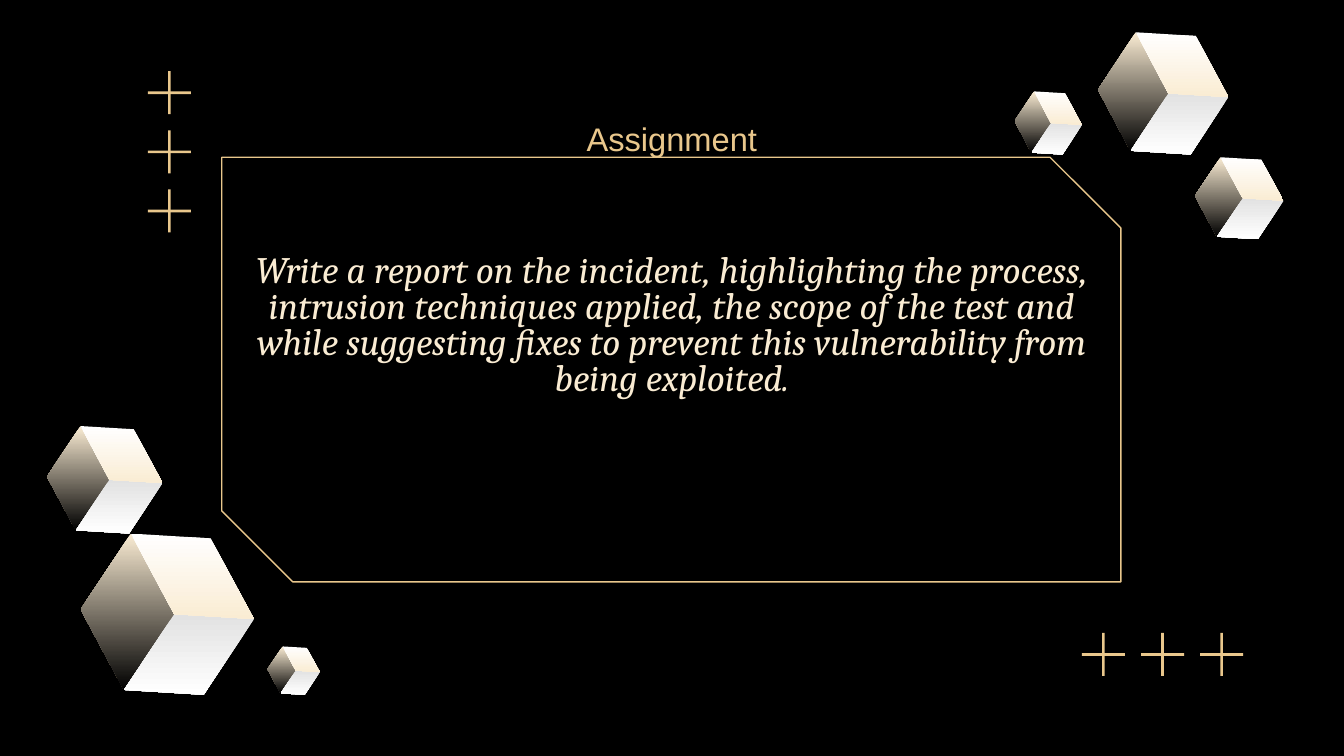
from pptx import Presentation
from pptx.dml.color import RGBColor
from pptx.enum import shapes, text
from pptx.util import Inches, Pt

GOLD, CREAM, BLACK, WHITE, GREY = "E9C78C", "FAECD3", "000000", "FFFFFF", "E2E2E2"
KIND = shapes.MSO_SHAPE

# Cube corners as fractions of its box
TOP, LEFT, BASE, MID = (0.29, 0), (0, 0.47), (0.25, 0.97), (0.54, 0.5)
RIGHT, FOOT, BACK = (1, 0.53), (0.71, 1), (0.75, 0.03)
FACES = [
    ([TOP, LEFT, BASE, MID], CREAM, BLACK),
    ([MID, RIGHT, FOOT, BASE], GREY, WHITE),
    ([TOP, BACK, RIGHT, MID], WHITE, CREAM),
]


def color(code):
    return RGBColor.from_string(code)


def place(shape, box):
    shape.left, shape.top, shape.width, shape.height = map(Inches, box)


def write(shape, words, size, font, code, italic=False, space=1.0, low=0.1):
    frame = shape.text_frame
    frame.word_wrap = True
    frame.auto_size = text.MSO_AUTO_SIZE.NONE
    frame.vertical_anchor = text.MSO_ANCHOR.MIDDLE
    frame.margin_left = frame.margin_right = frame.margin_top = Inches(0.1)
    frame.margin_bottom = Inches(low)
    para = frame.paragraphs[0]
    para.alignment = text.PP_ALIGN.CENTER
    para.line_spacing = space
    para.space_before = Pt(0)
    run = para.add_run()
    run.text = words
    run.font.size, run.font.name = Pt(size), font
    run.font.italic, run.font.bold = italic, False
    run.font.color.rgb = color(code)


def panel(slide, box):
    x, y, w, h = box
    # Frame with two cut corners
    edge = slide.shapes.add_shape(KIND.SNIP_2_DIAG_RECTANGLE, *map(Inches, box))
    edge.adjustments[0], edge.adjustments[1] = 0, 0.167
    edge.shadow.inherit = False
    edge.fill.background()
    edge.line.color.rgb = color(GOLD)
    edge.line.width = Pt(0.75)
    # Task, set a little above the middle
    task = slide.shapes.title
    place(task, (x + 0.13, y + 0.27, w - 0.25, 2.58))
    write(task, "Write a report on the incident, highlighting the process, "
          "intrusion techniques applied, the scope of the test and while "
          "suggesting fixes to prevent this vulnerability from being exploited.",
          20, "Cambria", CREAM, italic=True, space=0.8, low=0.7)
    # Heading on the top edge
    head = slide.shapes.add_textbox(*map(Inches, (x + 0.13, y - 0.4, w - 0.25, 0.52)))
    write(head, "Assignment", 17.5, "Arial", GOLD)


def crosses(slide, x, y, dx=0, dy=0, count=3, size=0.32, thick=0.02):
    group = slide.shapes.add_group_shape()
    for i in range(count):
        for w, h in ((size, thick), (thick, size)):
            box = (x + i * dx + (size - w) / 2, y + i * dy + (size - h) / 2, w, h)
            bar = group.shapes.add_shape(KIND.RECTANGLE, *map(Inches, box))
            bar.shadow.inherit = False
            bar.fill.solid()
            bar.fill.fore_color.rgb = color(GOLD)
            bar.line.fill.background()


def cube(slide, box):
    x, y, w, h = box
    group = slide.shapes.add_group_shape()
    for points, *tones in FACES:
        spots = [(Inches(x + w * px), Inches(y + h * py)) for px, py in points]
        build = group.shapes.build_freeform(*spots[0])
        build.add_line_segments(spots[1:], close=True)
        face = build.convert_to_shape()
        face.shadow.inherit = False
        face.line.fill.background()
        face.fill.gradient()
        face.fill.gradient_angle = 270
        for stop, tone in zip(face.fill.gradient_stops, tones):
            stop.color.rgb = color(tone)


def main():
    deck = Presentation()
    deck.slide_width = Inches(10)
    deck.slide_height = deck.slide_width * 9 // 16
    slide = deck.slides.add_slide(deck.slide_layouts[5])
    slide.background.fill.solid()
    slide.background.fill.fore_color.rgb = color(BLACK)

    panel(slide, (1.65, 1.17, 6.69, 3.16))
    crosses(slide, 1.1, 0.53, dy=0.44)
    crosses(slide, 8.05, 4.71, dx=0.44)
    # Lower left cubes, then upper right cubes
    for box in [(0.6, 3.97, 1.29, 1.2), (0.35, 3.17, 0.86, 0.8),
                (1.99, 4.81, 0.39, 0.36), (8.17, 0.24, 0.97, 0.91),
                (8.89, 1.17, 0.66, 0.61), (7.55, 0.68, 0.5, 0.47)]:
        cube(slide, box)
    deck.save("out.pptx")


if __name__ == "__main__":
    main()
